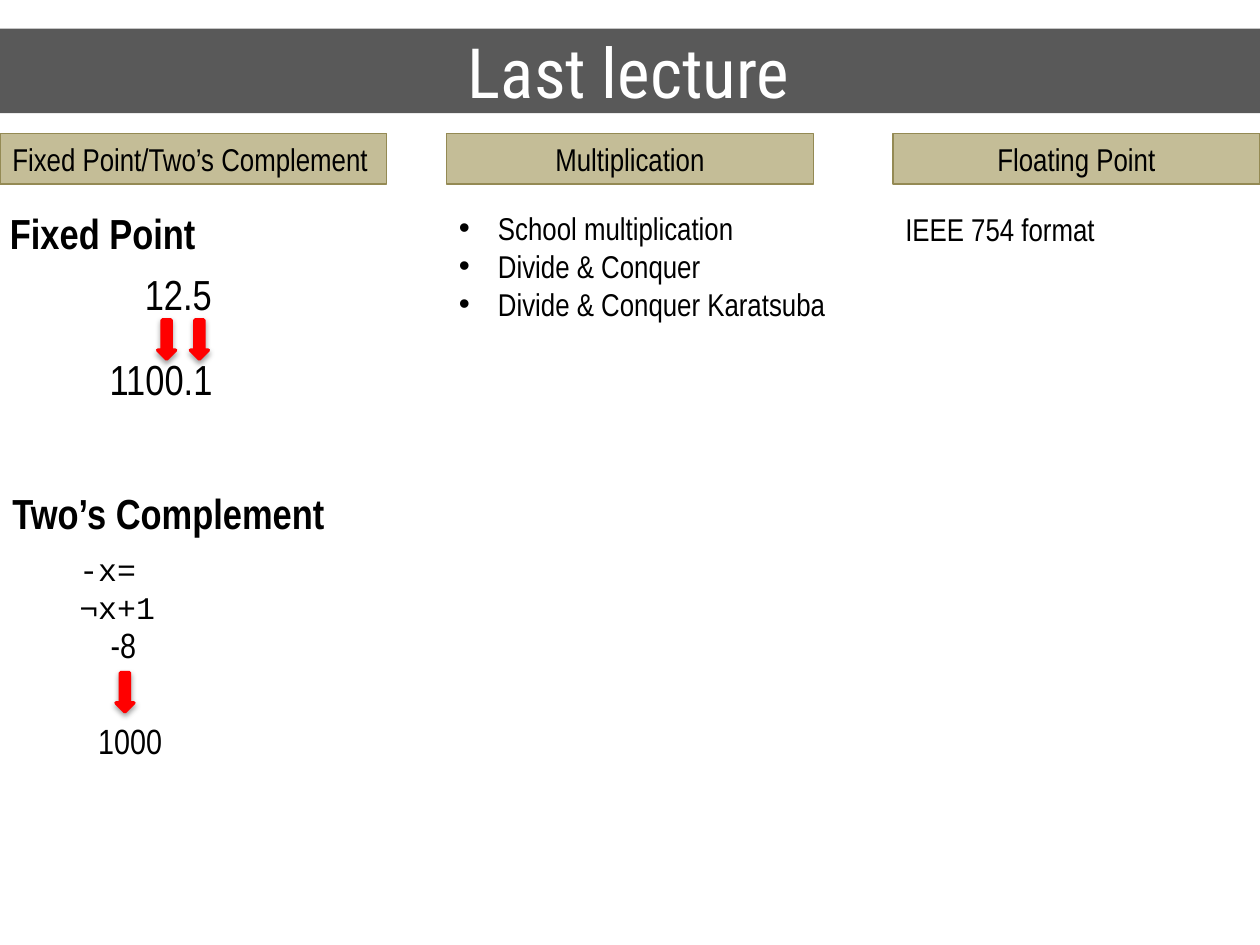
import pptx
import pptx.dml.color
import pptx.enum.shapes
import pptx.enum.text
import pptx.oxml
import pptx.oxml.ns
import pptx.util
from dataclasses import dataclass
from pptx.util import Cm

Align = pptx.enum.text.PP_ALIGN
Shape = pptx.enum.shapes.MSO_SHAPE
color = pptx.dml.color.RGBColor.from_string


@dataclass
class Theme:
    bar: str = "595959"
    header: str = "C4BD97"
    header_line: str = "948A54"
    arrow: str = "FF0000"
    light: str = "FFFFFF"
    dark: str = "000000"
    title_font: str = "Roboto Condensed"
    body_font: str = "Arial Narrow"
    code_font: str = "Courier New"
    title: float = 39.6
    large: float = 24
    medium: float = 20
    small: float = 18


theme = Theme()
SHADOW = (
    f'<a:effectLst {pptx.oxml.ns.nsdecls("a")}>'
    '<a:outerShdw blurRad="40000" dist="20000" dir="5400000" rotWithShape="0">'
    '<a:srgbClr val="000000"><a:alpha val="38000"/></a:srgbClr>'
    '</a:outerShdw></a:effectLst>'
)

deck = pptx.Presentation()
deck.slide_width, deck.slide_height = Cm(25.4), Cm(19.05)
page = deck.slides.add_slide(deck.slide_layouts[6])


def write(box, text, size, font=theme.body_font, ink=theme.dark, bold=False, align=Align.LEFT):
    box.text_frame.text = text
    for para in box.text_frame.paragraphs:
        para.alignment = align
        for span in para.runs:
            span.font.size = pptx.util.Pt(size)
            span.font.name = font
            span.font.bold = bold
            span.font.color.rgb = color(ink)


def add_block(kind, left, top, width, height, fill, line=None, weight=0.75):
    block = page.shapes.add_shape(kind, Cm(left), Cm(top), Cm(width), Cm(height))
    block.shadow.inherit = False
    block.fill.solid()
    block.fill.fore_color.rgb = color(fill)
    if line:
        block.line.color.rgb = color(line)
        block.line.width = pptx.util.Pt(weight)
    else:
        block.line.fill.background()
    return block


title = add_block(Shape.RECTANGLE, -0.05, 0.58, 25.45, 1.7, theme.bar)
write(title, "Last lecture", theme.title, theme.title_font, theme.light, align=Align.CENTER)

# Column headers
for left, width, text, align in [
    (0, 7.8, "Fixed Point/Two’s Complement", Align.LEFT),
    (9, 7.4, "Multiplication", Align.CENTER),
    (18, 7.4, "Floating Point", Align.CENTER),
]:
    header = add_block(Shape.RECTANGLE, left, 2.69, width, 1.02, theme.header, theme.header_line)
    write(header, text, theme.small, align=align)

# Body text: left, top, width, height, text, size, font, bold, wrap
body = theme.body_font
methods = "School multiplication\nDivide & Conquer\nDivide & Conquer Karatsuba"
for left, top, width, height, text, size, font, bold, wrap in [
    (-0.05, 4.06, 4.29, 1.27, "Fixed Point", theme.large, body, True, False),
    (2.67, 5.28, 1.88, 1.27, "12.5", theme.large, body, False, False),
    (1.96, 7.01, 2.62, 1.27, "1100.1", theme.large, body, False, False),
    (0, 9.7, 6.86, 1.27, "Two’s Complement", theme.large, body, True, False),
    (1.35, 10.97, 3.33, 1.02, "-x= ¬x+1", theme.small, theme.code_font, False, True),
    (1.98, 12.45, 1.04, 1.12, "-8", theme.medium, body, False, False),
    (1.73, 14.38, 1.8, 1.12, "1000", theme.medium, body, False, False),
    (9, 4.09, 7.92, 2.57, methods, theme.small, body, False, False),
    (18, 4.11, 7.4, 1.02, "IEEE 754 format", theme.small, body, False, True),
]:
    box = page.shapes.add_textbox(Cm(left), Cm(top), Cm(width), Cm(height))
    box.text_frame.word_wrap = wrap
    write(box, text, size, font, bold=bold)
    if text == methods:
        for para in box.text_frame.paragraphs:
            properties = para._p.get_or_add_pPr()
            properties.set("marL", str(Cm(0.79)))
            properties.set("indent", str(-Cm(0.79)))
            for bullet in ('<a:buFont {} typeface="Arial"/>', '<a:buChar {} char="•"/>'):
                properties.append(pptx.oxml.parse_xml(bullet.format(pptx.oxml.ns.nsdecls("a"))))

# Conversion arrows
for left, top in [(3.18, 6.45), (3.84, 6.45), (2.34, 13.56)]:
    arrow = add_block(Shape.DOWN_ARROW, left, top, 0.36, 0.79, theme.arrow, theme.arrow, 2)
    properties = arrow._element.spPr
    properties.replace(properties.find(pptx.oxml.ns.qn("a:effectLst")), pptx.oxml.parse_xml(SHADOW))

deck.save("out.pptx")
